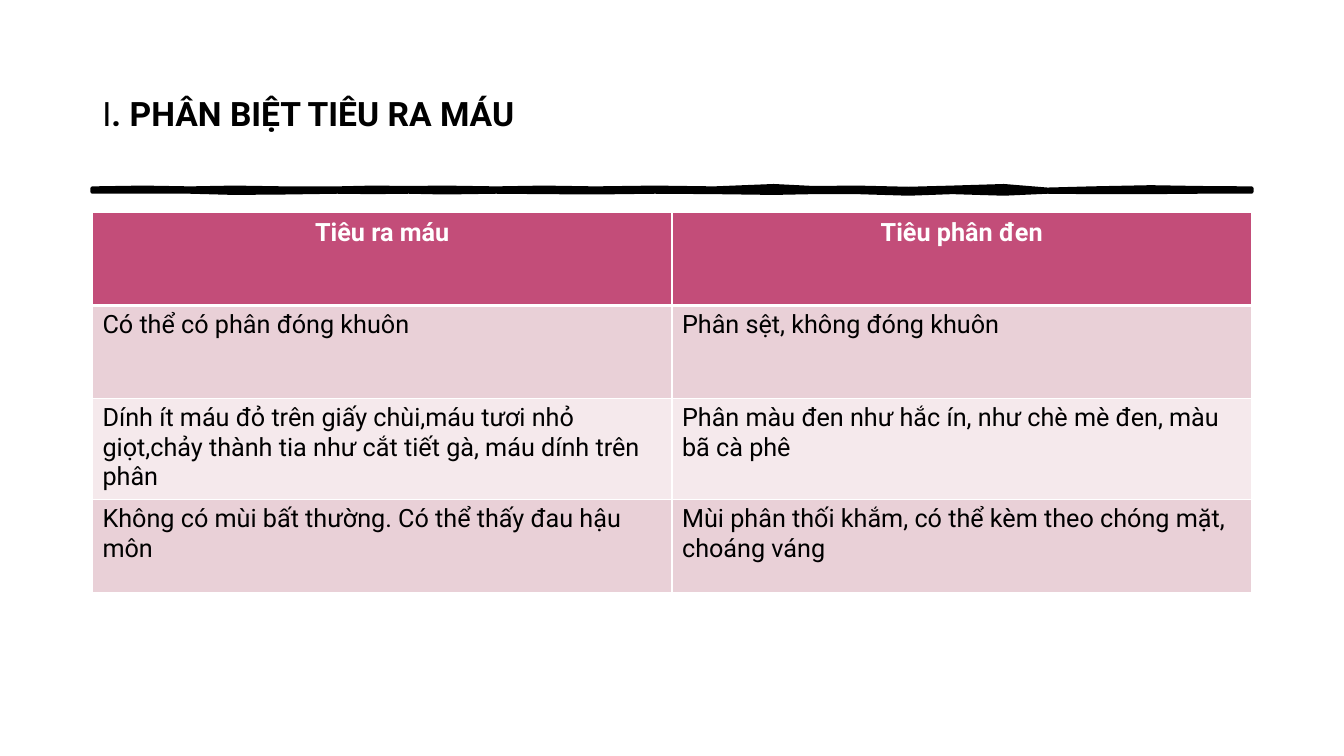
import pptx
import pptx.util
import pptx.dml.color
import pptx.enum.text
import lxml.etree

Cm = pptx.util.Cm
Pt = pptx.util.Pt
RGBColor = pptx.dml.color.RGBColor
ALIGN = pptx.enum.text.PP_ALIGN

BLACK = RGBColor(0x00, 0x00, 0x00)
WHITE = RGBColor(0xFF, 0xFF, 0xFF)
ROSE = RGBColor(0xC3, 0x4D, 0x79)
PINK = RGBColor(0xE9, 0xD0, 0xD7)
PALE = RGBColor(0xF5, 0xE9, 0xEC)
NS = "http://schemas.openxmlformats.org/drawingml/2006/main"
LEFT, WIDTH = 2.33, 29.21


def write(para, text, size, color, bold):
    run = para.add_run()
    run.text = text
    look = {"name": "Roboto", "size": Pt(size), "bold": bold}
    for key, value in look.items():
        setattr(run.font, key, value)
    run.font.color.rgb = color


def border(cell, side, width):
    props = cell._tc.get_or_add_tcPr()
    line = lxml.etree.Element(f"{{{NS}}}{side}", w=str(Pt(width)))
    fill = lxml.etree.SubElement(line, f"{{{NS}}}solidFill")
    lxml.etree.SubElement(fill, f"{{{NS}}}srgbClr", val=str(WHITE))
    props.append(line)


deck = pptx.Presentation()
deck.slide_width, deck.slide_height = Cm(33.87), Cm(19.05)
slide = deck.slides.add_slide(deck.slide_layouts[6])

waves = [
    (2.33, 4.75, 4.83), (3.6, 4.73, 4.83), (4.8, 4.75, 4.83),
    (5.9, 4.73, 4.86), (7.2, 4.75, 4.85), (8.5, 4.75, 4.83),
    (9.4, 4.73, 4.84), (10.3, 4.74, 4.83), (11.2, 4.73, 4.85),
    (12.5, 4.75, 4.83), (13.7, 4.73, 4.84), (15, 4.75, 4.85),
    (16.5, 4.73, 4.83), (18, 4.75, 4.84), (19.5, 4.69, 4.86),
    (20.5, 4.74, 4.84), (21.6, 4.73, 4.84), (22.9, 4.76, 4.88),
    (24, 4.73, 4.84), (25.3, 4.69, 4.88), (26.4, 4.78, 4.83),
    (27.5, 4.75, 4.84), (29, 4.72, 4.84), (30.2, 4.74, 4.83),
    (31.54, 4.75, 4.83),
]
edge = [(x, top) for x, top, low in waves]
edge += [(x, low) for x, top, low in reversed(waves)]
pen = slide.shapes.build_freeform(Cm(edge[0][0]), Cm(edge[0][1]))
pen.add_line_segments([(Cm(x), Cm(y)) for x, y in edge[1:]], close=True)
stroke = pen.convert_to_shape()
stroke.shadow.inherit = False
stroke.fill.solid()
stroke.fill.fore_color.rgb = BLACK
stroke.line.color.rgb = BLACK
stroke.line.width = Pt(3)

title = slide.shapes.add_textbox(Cm(LEFT), Cm(1.02), Cm(WIDTH), Cm(3.68))
frame = title.text_frame
frame.word_wrap = True
frame.vertical_anchor = pptx.enum.text.MSO_ANCHOR.MIDDLE
write(frame.paragraphs[0], "I", 24, BLACK, False)
write(frame.paragraphs[0], ". PHÂN BIỆT TIÊU RA MÁU", 24, BLACK, True)

rows = [
    ("Tiêu ra máu", "Tiêu phân đen"),
    ("Có thể có phân đóng khuôn", "Phân sệt, không đóng khuôn"),
    ("Dính ít máu đỏ trên giấy chùi,máu tươi nhỏ giọt,chảy thành tia như cắt tiết gà, máu dính trên phân",
     "Phân màu đen như hắc ín, như chè mè đen, màu bã cà phê"),
    ("Không có mùi bất thường. Có thể thấy đau hậu môn",
     "Mùi phân thối khắm, có thể kèm theo chóng mặt, choáng váng"),
]
fills = [ROSE, PINK, PALE, PINK]
table = slide.shapes.add_table(
    len(rows), 2, Cm(LEFT), Cm(5.36), Cm(WIDTH), Cm(9.36)).table
for r, row in enumerate(rows):
    head = r == 0
    for c, text in enumerate(row):
        cell = table.cell(r, c)
        para = cell.text_frame.paragraphs[0]
        para.alignment = ALIGN.CENTER if head else ALIGN.LEFT
        write(para, text, 18, WHITE if head else BLACK, head)
        for side in ("lnL", "lnR", "lnT", "lnB"):
            thick = (r, side) in ((0, "lnB"), (1, "lnT"))
            border(cell, side, 3 if thick else 1)
        cell.fill.solid()
        cell.fill.fore_color.rgb = fills[r]

deck.save("out.pptx")
